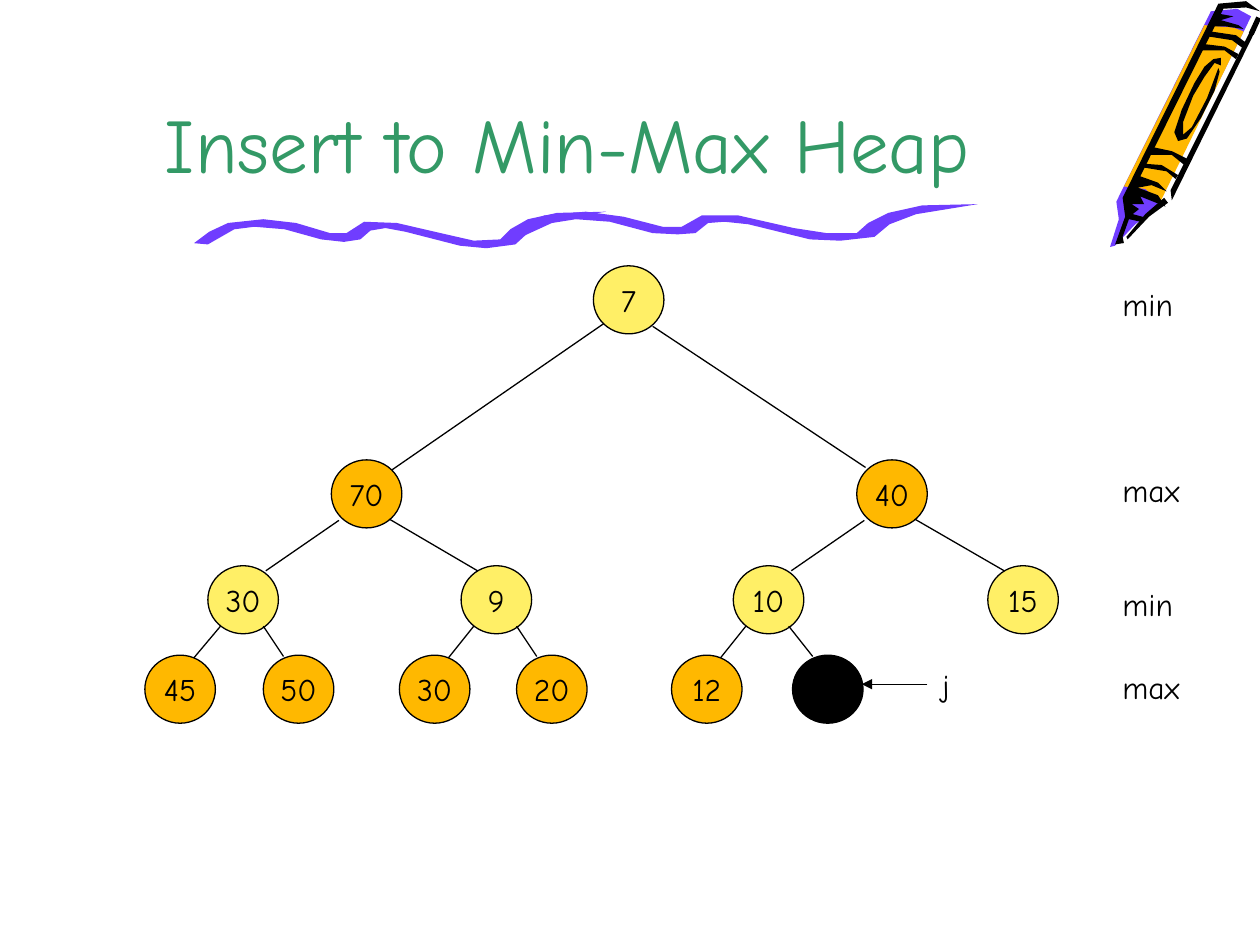
"""Build a slide showing an insertion into a min-max heap."""
from typing import NamedTuple

from lxml.etree import SubElement
from pptx import Presentation
from pptx.dml.color import RGBColor
from pptx.enum.shapes import MSO_CONNECTOR, MSO_SHAPE
from pptx.enum.text import MSO_ANCHOR, MSO_AUTO_SIZE, PP_ALIGN
from pptx.oxml.ns import qn
from pptx.util import Inches, Pt

FONT = "Comic Neue"
BLACK, YELLOW, ORANGE = "000000", "FFEF66", "FFB800"
PURPLE, GREEN = "703DFF", "339966"
NODE_WIDTH, NODE_HEIGHT = 0.56, 0.54
LABEL_LEFT, LABEL_HEIGHT = 8.81, 0.4


class Point(NamedTuple):
    x: float
    y: float


class Outline(NamedTuple):
    """A filled polygon with corners in hundredths of an inch."""
    color: str
    corners: list[tuple[int, int]]


class Edge(NamedTuple):
    """Offsets of an edge's ends from the corners of parent and child."""
    start: Point
    end: Point


class Level(NamedTuple):
    label: str
    label_top: float
    label_width: float
    top: float
    color: str
    nodes: list[tuple[str, float]]
    edges: tuple[Edge, ...] = ()


CRAYON = [
    Outline(PURPLE, [(993, 13), (917, 166), (901, 178), (885, 195), (881, 196), (888, 174),
                     (886, 160), (961, 9), (982, 7)]),
    Outline(ORANGE, [(921, 160), (909, 150), (892, 148), (956, 20), (979, 22), (987, 25)]),
    Outline(BLACK, [(927, 161), (912, 172), (895, 190), (894, 188), (909, 170), (924, 157)]),
    Outline(BLACK, [(987, 23), (973, 21), (961, 21), (968, 11), (979, 13), (969, 16), (983, 20)]),
    Outline(BLACK, [(968, 57), (964, 72), (953, 94), (942, 110), (935, 112), (932, 105),
                    (938, 87), (948, 66), (956, 53), (963, 47), (969, 46), (969, 52),
                    (964, 50), (956, 61), (947, 76), (939, 97), (939, 107), (946, 101),
                    (958, 78), (967, 54)]),
    Outline(BLACK, [(997, 23), (930, 159), (929, 151), (993, 23)]),
    Outline(BLACK, [(925, 164), (919, 155), (903, 149), (914, 147), (926, 152), (919, 145),
                    (905, 140), (971, 7), (989, 6), (1000, 9), (989, 1), (967, 3),
                    (891, 157), (893, 172), (885, 194), (892, 193), (891, 188), (896, 174),
                    (905, 176), (910, 173), (899, 170), (904, 166), (898, 162), (908, 162),
                    (905, 156)]),
    Outline(BLACK, [(933, 142), (926, 136), (908, 133), (909, 130), (922, 131), (935, 139)]),
    Outline(BLACK, [(940, 131), (930, 123), (913, 123), (916, 117), (930, 120), (942, 126)]),
    Outline(BLACK, [(981, 47), (972, 40), (953, 40), (956, 35), (972, 37), (983, 43)]),
    Outline(BLACK, [(986, 38), (978, 32), (959, 29), (961, 25), (981, 28), (989, 34)]),
]
UNDERLINE = [
    Outline(PURPLE, [(165, 194), (186, 182), (202, 180), (226, 182), (255, 190), (273, 192),
                     (286, 190), (294, 183), (306, 181), (322, 184), (365, 195), (386, 197),
                     (409, 194), (420, 184), (438, 175), (481, 168), (442, 169), (419, 174),
                     (405, 182), (397, 190), (376, 191), (354, 186), (315, 177), (289, 176),
                     (275, 185), (262, 185), (235, 177), (209, 174), (181, 177), (166, 184),
                     (154, 193)]),
    Outline(PURPLE, [(414, 188), (438, 177), (457, 174), (484, 176), (518, 185), (538, 186),
                     (552, 185), (562, 177), (575, 176), (594, 178), (643, 190), (667, 191),
                     (694, 188), (706, 178), (727, 170), (776, 162), (732, 163), (705, 169),
                     (689, 177), (680, 185), (656, 185), (630, 181), (586, 171), (557, 171),
                     (541, 180), (526, 180), (495, 172), (465, 168), (432, 171), (415, 178),
                     (401, 188)]),
]
LEVELS = [
    Level("min", 2.21, 0.64, 2.11, YELLOW, [("7", 4.71)]),
    Level("max", 3.69, 0.72, 3.65, ORANGE, [("70", 2.63), ("40", 6.8)],
          (Edge(Point(0.08, 0.46), Point(0.48, 0.08)),
           Edge(Point(0.47, 0.48), Point(0.07, 0.06)))),
    Level("min", 4.59, 0.64, 4.49, YELLOW,
          [("30", 1.65), ("9", 3.66), ("10", 5.82), ("15", 7.84)],
          (Edge(Point(0.06, 0.48), Point(0.46, 0.04)),
           Edge(Point(0.46, 0.47), Point(0.13, 0.04)))),
    Level("max", 5.25, 0.72, 5.2, ORANGE,
          [("45", 1.15), ("50", 2.09), ("30", 3.17), ("20", 4.1), ("12", 5.33), ("", 6.29)],
          (Edge(Point(0.1, 0.48), Point(0.39, 0.02)),
           Edge(Point(0.44, 0.48), Point(0.16, 0.01)))),
]


def rgb(color: str) -> RGBColor:
    return RGBColor.from_string(color)


def write(frame, text: str, size: float = 18, color: str = BLACK,
          align: PP_ALIGN = PP_ALIGN.LEFT, **frame_format) -> None:
    for name, value in frame_format.items():
        setattr(frame, name, value)
    para = frame.paragraphs[0]
    para.alignment = align
    span = para.add_run()
    span.text = text
    for name, value in {"name": FONT, "size": Pt(size)}.items():
        setattr(span.font, name, value)
    span.font.color.rgb = rgb(color)


def draw_outline(page, outline: Outline) -> None:
    builder = page.shapes.build_freeform(*outline.corners[0], scale=Inches(0.01))
    builder.add_line_segments(outline.corners[1:], close=True)
    shape = builder.convert_to_shape()
    shape.shadow.inherit = False
    shape.fill.solid()
    shape.fill.fore_color.rgb = rgb(outline.color)
    shape.line.fill.background()


def draw_line(page, start: Point, end: Point, width: float = 0.75, arrow: bool = False) -> None:
    line = page.shapes.add_connector(
        MSO_CONNECTOR.STRAIGHT, *(Inches(length) for length in (*start, *end)))
    line.line.width = Pt(width)
    line.line.color.rgb = rgb(BLACK)
    if arrow:
        SubElement(line.line._get_or_add_ln(), qn("a:tailEnd"), type="triangle")
    SubElement(line._element.spPr, qn("a:effectLst"))


def draw_node(page, text: str, left: float, top: float, color: str) -> None:
    node = page.shapes.add_shape(
        MSO_SHAPE.OVAL, Inches(left), Inches(top), Inches(NODE_WIDTH), Inches(NODE_HEIGHT))
    node.shadow.inherit = False
    node.fill.solid()
    node.fill.fore_color.rgb = rgb(color if text else BLACK)
    node.line.color.rgb = rgb(BLACK)
    node.line.width = Pt(0.75)
    if text:
        write(node.text_frame, text, align=PP_ALIGN.CENTER, word_wrap=False,
              vertical_anchor=MSO_ANCHOR.MIDDLE)


def draw_label(page, text: str, left: float, top: float, width: float) -> None:
    box = page.shapes.add_textbox(
        Inches(left), Inches(top), Inches(width), Inches(LABEL_HEIGHT))
    write(box.text_frame, text, word_wrap=True, auto_size=MSO_AUTO_SIZE.SHAPE_TO_FIT_TEXT)


def draw_level(page, level: Level, parent: Level | None) -> None:
    for index, (text, left) in enumerate(level.nodes):
        draw_node(page, text, left, level.top, level.color)
        if parent:
            edge = level.edges[index % 2]
            parent_left = parent.nodes[index // 2][1]
            draw_line(page, Point(parent_left + edge.start.x, parent.top + edge.start.y),
                      Point(left + edge.end.x, level.top + edge.end.y))
    draw_label(page, level.label, LABEL_LEFT, level.label_top, level.label_width)


def main() -> None:
    deck = Presentation()
    deck.slide_width, deck.slide_height = Inches(10), Inches(7.5)
    page = deck.slides.add_slide(deck.slide_layouts[5])
    for outline in CRAYON + UNDERLINE:
        draw_outline(page, outline)
    draw_line(page, Point(9.99, 0.14), Point(9.93, 0.27), width=3)

    title = page.shapes.title
    place = {"left": 0.75, "top": 0, "width": 7.51, "height": 1.55}
    for name, value in place.items():
        setattr(title, name, Inches(value))
    write(title.text_frame, "Insert to Min-Max Heap", 44, GREEN, PP_ALIGN.CENTER,
          vertical_anchor=MSO_ANCHOR.BOTTOM, auto_size=MSO_AUTO_SIZE.NONE, word_wrap=True)

    for level, parent in zip(LEVELS, [None, *LEVELS]):
        draw_level(page, level, parent)
    draw_line(page, Point(7.36, 5.43), Point(6.84, 5.43), arrow=True)
    draw_label(page, "j", 7.38, 5.24, 0.44)
    deck.save("out.pptx")


if __name__ == "__main__":
    main()
